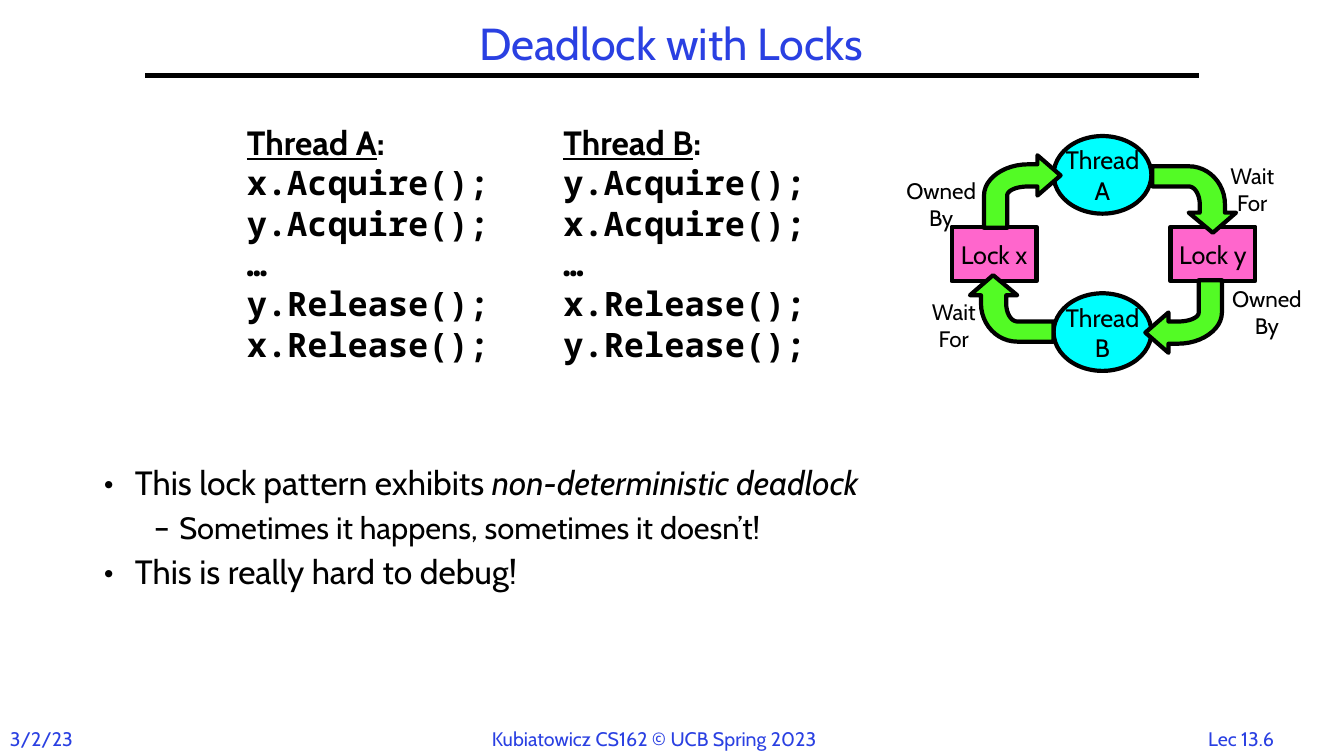
from lxml import etree
from pptx import Presentation
from pptx.dml.color import RGBColor
from pptx.enum.shapes import MSO_CONNECTOR, MSO_SHAPE
from pptx.enum.text import MSO_ANCHOR, PP_ALIGN
from pptx.oxml.ns import qn
from pptx.util import Inches, Pt

LEFT, CENTER = PP_ALIGN.LEFT, PP_ALIGN.CENTER
TOP, MIDDLE = MSO_ANCHOR.TOP, MSO_ANCHOR.MIDDLE
RECTANGLE, OVAL = MSO_SHAPE.RECTANGLE, MSO_SHAPE.OVAL

COLORS = {"ink": "000000", "blue": "2A40E2", "lock": "FF66CC",
          "thread": "00FFFF", "arrow": "53FB25"}
SANS, MONO = "Cabin", "Noto Sans Mono"
WIDTH, HEIGHT = 13.33, 7.5

# Content: text, then left, top, width, height
TITLE = ("Deadlock with Locks", (1.44, 0.17, 10.44, 0.58))
FOOTERS = [
    ("3/2/23", (0, 7.16, 1, 0.34), LEFT),
    ("Kubiatowicz CS162 © UCB Spring 2023", (4.78, 7.16, 3.68, 0.34), LEFT),
    ("Lec 13.6", (11.77, 7.16, 1.08, 0.34), CENTER),
]
THREADS = [
    ("Thread A", ["x.Acquire();", "y.Acquire();", "…",
                  "y.Release();", "x.Release();"]),
    ("Thread B", ["y.Acquire();", "x.Acquire();", "…",
                  "x.Release();", "y.Release();"]),
]
CODE_LEFT, CODE_TOP, CODE_STEP = 2.35, 1.16, 3.14
# Level, then (text, italic) spans
BULLETS = [
    (0, [("This lock pattern exhibits ", False),
         ("non-deterministic deadlock", True)]),
    (1, [("Sometimes it happens, sometimes it doesn’t!", False)]),
    (0, [("This is really hard to debug!", False)]),
]
BULLET_STYLES = [("•", 0.31, -0.31, 24), ("–", 0.75, -0.25, 22)]
NODES = [
    (["Lock y"], RECTANGLE, "lock", (11.61, 2.25, 0.84, 0.54)),
    (["Lock x"], RECTANGLE, "lock", (9.44, 2.25, 0.84, 0.54)),
    (["Thread", "B"], OVAL, "thread", (10.45, 2.91, 0.97, 0.77)),
    (["Thread", "A"], OVAL, "thread", (10.45, 1.35, 0.97, 0.77)),
]
LABELS = [
    (["Wait", "For"], (12.1, 1.56, 0.64, 0.64)),
    (["Wait", "For"], (9.14, 2.91, 0.64, 0.64)),
    (["Owned", "By"], (12.11, 2.78, 0.91, 0.64)),
    (["Owned", "By"], (8.88, 1.71, 0.91, 0.64)),
]
# Arrow outlines: one point is a corner, three points are a curve
CYCLE_CENTER = (10.94, 2.52)
CURVE_STEPS = 12
ARROWS = [
    [[(10.52, 1.74)], [(10.29, 1.54)], [(10.29, 1.63)], [(10.2, 1.63)],
     [(9.96, 1.63), (9.76, 1.77), (9.76, 1.94)],
     [(9.76, 2.26)], [(9.99, 2.26)], [(9.99, 1.94)],
     [(9.99, 1.89), (10.08, 1.85), (10.2, 1.85)],
     [(10.29, 1.85)], [(10.29, 1.94)]],
    [[(12.03, 2.31)], [(12.26, 2.11)], [(12.15, 2.11)], [(12.15, 2.03)],
     [(12.15, 1.82), (11.99, 1.65), (11.79, 1.65)],
     [(11.43, 1.65)], [(11.43, 1.85)], [(11.79, 1.85)],
     [(11.85, 1.85), (11.9, 1.93), (11.9, 2.03)],
     [(11.9, 2.11)], [(11.79, 2.11)]],
]


def color(name):
    return RGBColor.from_string(COLORS[name])


def style(font, size, name=SANS, ink="ink"):
    font.size, font.name = Pt(size), name
    font.color.rgb = color(ink)


def paint(shape, fill):
    shape.shadow.inherit = False
    shape.fill.solid()
    shape.fill.fore_color.rgb = color(fill)
    shape.line.color.rgb = color("ink")
    shape.line.width = Pt(3)


def write(shape, lines, size, align=CENTER, anchor=TOP, ink="ink"):
    frame = shape.text_frame
    frame.word_wrap = False
    frame.vertical_anchor = anchor
    frame.text = "\n".join(lines)
    for para in frame.paragraphs:
        para.alignment = align
        style(para.runs[0].font, size, ink=ink)


def add_box(page, place):
    return page.shapes.add_textbox(*map(Inches, place))


def add_code(page, place, heading, code):
    frame = add_box(page, place).text_frame
    frame.word_wrap = True
    frame.text = "\n".join([heading] + code)
    frame.paragraphs[0].add_run().text = ":"
    for row, para in enumerate(frame.paragraphs):
        for span in para.runs:
            style(span.font, 24, MONO if row else SANS)
            span.font.bold = True
    frame.paragraphs[0].runs[0].font.underline = True


def add_bullets(page, place):
    frame = add_box(page, place).text_frame
    frame.word_wrap = True
    for row, (level, spans) in enumerate(BULLETS):
        para = frame.add_paragraph() if row else frame.paragraphs[0]
        mark, margin, indent, size = BULLET_STYLES[level]
        props = para._p.get_or_add_pPr()
        props.set("marL", str(Inches(margin)))
        props.set("indent", str(Inches(indent)))
        etree.SubElement(props, qn("a:buFont")).set("typeface", SANS)
        etree.SubElement(props, qn("a:buChar")).set("char", mark)
        para.level = level
        para.line_spacing = 0.9
        if row:
            para.space_before = Pt(7)
        for text, italic in spans:
            span = para.add_run()
            span.text = text
            style(span.font, size)
            span.font.italic = italic


def trace(outline):
    """Turn corners and cubic curves into a list of points."""
    points = []
    for part in outline:
        if len(part) == 1:
            points += part
            continue
        knots = [points[-1]] + part
        for step in range(1, CURVE_STEPS + 1):
            t = step / CURVE_STEPS
            weights = ((1 - t) ** 3, 3 * t * (1 - t) ** 2,
                       3 * t * t * (1 - t), t ** 3)
            points.append(tuple(sum(w * knot[axis] for w, knot in zip(weights, knots))
                                for axis in (0, 1)))
    return points


def add_arrow(page, points):
    corners = [(Inches(x), Inches(y)) for x, y in points]
    builder = page.shapes.build_freeform(*corners[0])
    builder.add_line_segments(corners[1:], close=True)
    paint(builder.convert_to_shape(), "arrow")


def main():
    deck = Presentation()
    deck.slide_width, deck.slide_height = Inches(WIDTH), Inches(HEIGHT)
    page = deck.slides.add_slide(deck.slide_layouts[6])

    # Title, rule and footers
    text, place = TITLE
    box = add_box(page, place)
    write(box, [text], 32, anchor=MIDDLE, ink="blue")
    box.text_frame.paragraphs[0].line_spacing = 0.9
    rule = page.shapes.add_connector(MSO_CONNECTOR.STRAIGHT, Inches(1.44),
                                     Inches(0.75), Inches(11.89), Inches(0.75))
    rule.line.color.rgb = color("ink")
    rule.line.width = Pt(3)
    etree.SubElement(rule._element.spPr, qn("a:effectLst"))
    for text, place, align in FOOTERS:
        write(add_box(page, place), [text], 14, align, ink="blue")

    # Code of the two threads
    for column, (heading, code) in enumerate(THREADS):
        left = CODE_LEFT + column * CODE_STEP
        add_code(page, (left, CODE_TOP, 2.85, 2.52), heading, code)

    # Wait cycle: nodes, arrows with their half-turn twins, labels
    for lines, kind, fill, place in NODES:
        node = page.shapes.add_shape(kind, *map(Inches, place))
        paint(node, fill)
        write(node, lines, 18, anchor=MIDDLE)
    center_x, center_y = CYCLE_CENTER
    for outline in ARROWS:
        points = trace(outline)
        add_arrow(page, points)
        add_arrow(page, [(2 * center_x - x, 2 * center_y - y) for x, y in points])
    for lines, place in LABELS:
        write(add_box(page, place), lines, 16)

    # Conclusions
    add_bullets(page, (0.93, 4.58, 11.56, 1.95))
    deck.save("out.pptx")


if __name__ == "__main__":
    main()
